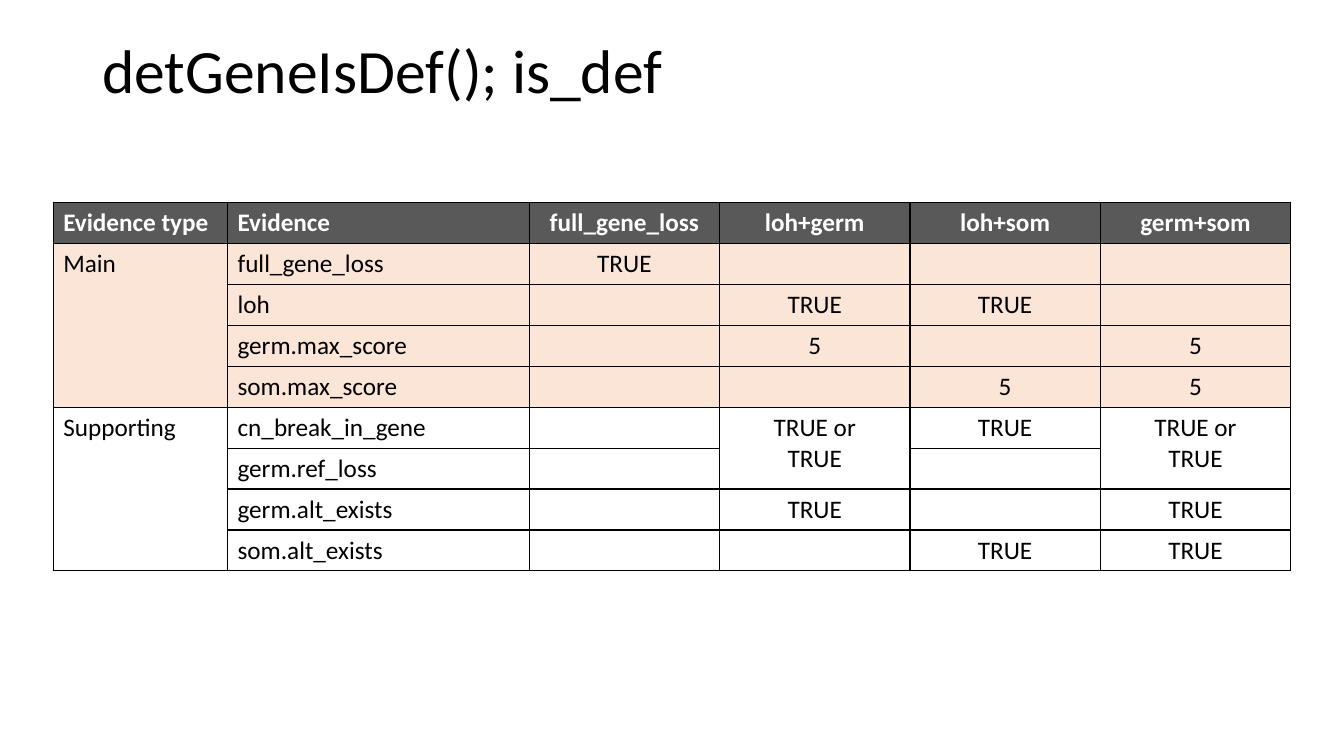
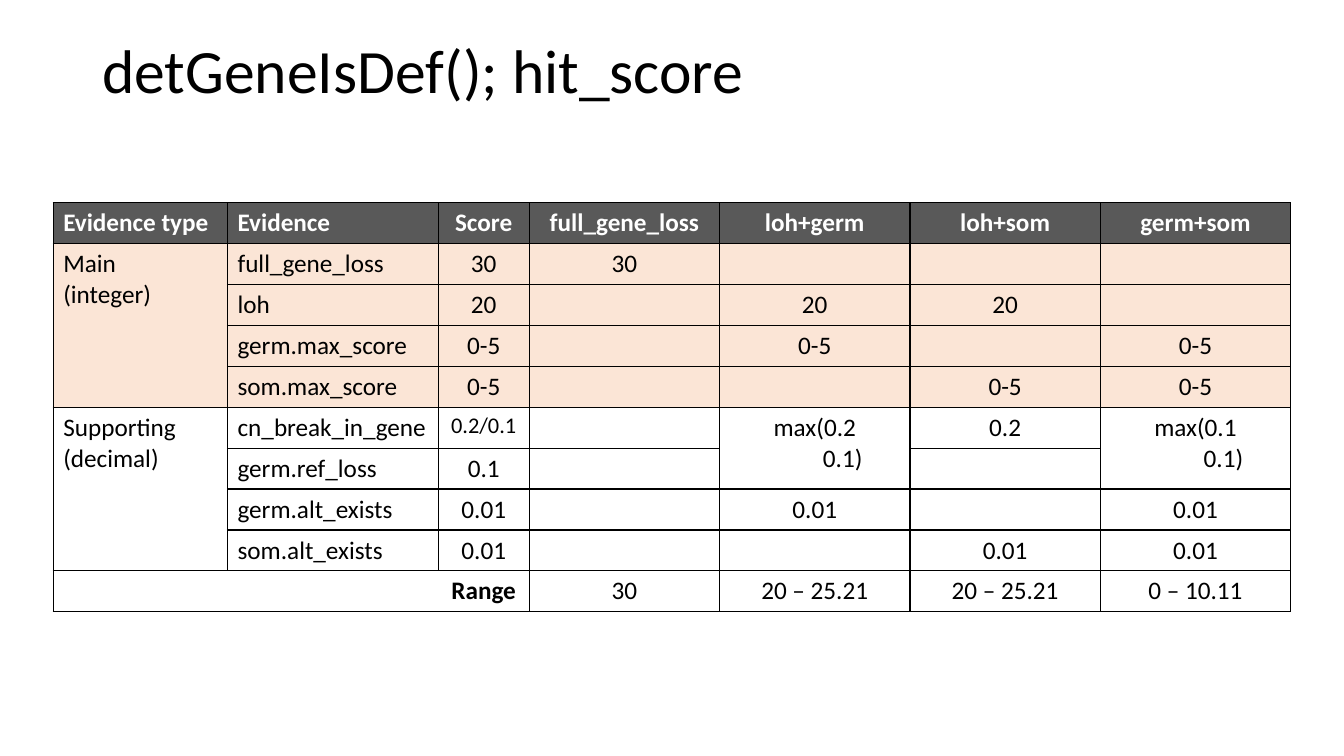
from lxml import etree
from pptx import Presentation
from pptx.dml.color import RGBColor
from pptx.enum.text import MSO_ANCHOR, PP_ALIGN
from pptx.oxml.ns import qn
from pptx.util import Pt

LEFT, MID = PP_ALIGN.LEFT, PP_ALIGN.CENTER
MIDDLE = MSO_ANCHOR.MIDDLE
FONT = "Calibri"
BLACK, WHITE, GREY, PEACH = "000000", "FFFFFF", "595959", "FBE5D6"
ROW, TYPE, CASE = 29.25, 124.5, 136
SIDES = "LRTB"
CASES = ["full_gene_loss", "loh+germ", "loh+som", "germ+som"]
ITEMS = ["full_gene_loss", "loh", "germ.max_score", "som.max_score",
         "cn_break_in_gene", "germ.ref_loss", "germ.alt_exists", "som.alt_exists"]

DEF_VALUES = [
    ["TRUE", "", "", ""],
    ["", "TRUE", "TRUE", ""],
    ["", "5", "", "5"],
    ["", "", "5", "5"],
    ["", "TRUE or\nTRUE", "TRUE", "TRUE or\nTRUE"],
    ["", "", "", ""],
    ["", "TRUE", "", "TRUE"],
    ["", "", "TRUE", "TRUE"],
]
HIT_VALUES = [
    ["30", "30", "", "", ""],
    ["20", "", "20", "20", ""],
    ["0-5", "", "0-5", "", "0-5"],
    ["0-5", "", "", "0-5", "0-5"],
    ["0.2/0.1", "", "max(0.2\n0.1)", "0.2", "max(0.1\n0.1)"],
    ["0.1", "", "", "", ""],
    ["0.01", "", "0.01", "", "0.01"],
    ["0.01", "", "", "0.01", "0.01"],
]
RANGE = ["", "", "Range", "30", "20 – 25.21", "20 – 25.21", "0 – 10.11"]


def color(code):
    return RGBColor.from_string(code)


def style(par, size, ink, bold=False, align=LEFT):
    par.alignment = align
    font = par.font
    font.name, font.size, font.bold = FONT, Pt(size), bold
    font.color.rgb = color(ink)


def add_title(slide, text):
    frame = slide.shapes.add_textbox(Pt(66), Pt(0), Pt(828), Pt(104.4)).text_frame
    frame.word_wrap = True
    frame.vertical_anchor = MIDDLE
    par = frame.paragraphs[0]
    par.text = text
    par.line_spacing = 0.9
    style(par, 44, BLACK)


def set_edges(cell, shown):
    props = cell._tc.get_or_add_tcPr()
    for side in SIDES:
        line = etree.SubElement(props, qn(f"a:ln{side}"), w=str(Pt(1)))
        if side in shown:
            fill = etree.SubElement(line, qn("a:solidFill"))
            etree.SubElement(fill, qn("a:srgbClr"), val=BLACK)
        else:
            etree.SubElement(line, qn("a:noFill"))


def fill_cell(cell, text, back, head, align, shown):
    set_edges(cell, shown)
    cell.fill.solid()
    cell.fill.fore_color.rgb = color(back)
    cell.text = text
    for par in cell.text_frame.paragraphs:
        style(par, 18, WHITE if head else BLACK, head, align)


def add_grid(slide, rows, widths, edges):
    count, size = len(rows), len(widths)
    frame = slide.shapes.add_table(count, size, Pt(38), Pt(144.75),
                                   Pt(sum(widths)), Pt(ROW * count))
    table = frame.table
    table.first_row = table.horz_banding = False
    for col, width in zip(table.columns, widths):
        col.width = Pt(width)
    for r, row in enumerate(rows):
        table.rows[r].height = Pt(ROW)
        back = GREY if r == 0 else PEACH if r < 5 else WHITE
        for c, text in enumerate(row):
            fill_cell(table.cell(r, c), text, back, r == 0,
                      LEFT if c < 2 else MID, edges.get((r, c), SIDES))
    for top, end, c in [(1, 4, 0), (5, 8, 0), (5, 6, size - 3), (5, 6, size - 1)]:
        table.cell(top, c).merge(table.cell(end, c))
    return table


def make_rows(heads, kinds, values):
    rows = [["Evidence type", "Evidence"] + heads]
    for i, (item, vals) in enumerate(zip(ITEMS, values)):
        rows.append([kinds[i // 4] if i % 4 == 0 else "", item] + vals)
    return rows


def add_def(slide):
    add_title(slide, "detGeneIsDef(); is_def")
    rows = make_rows(CASES, ["Main", "Supporting"], DEF_VALUES)
    add_grid(slide, rows, [TYPE, 215.5] + [CASE] * 4, {})


def add_hit(slide):
    add_title(slide, "detGeneIsDef(); hit_score")
    kinds = ["Main\n(integer)", "Supporting\n(decimal)"]
    rows = make_rows(["Score"] + CASES, kinds, HIT_VALUES) + [RANGE]
    edges = {(9, 0): "LTB", (9, 1): "TB", (9, 2): "RTB"}
    table = add_grid(slide, rows, [TYPE, 150.5, 65] + [CASE] * 4, edges)
    table.cell(5, 2).text_frame.paragraphs[0].font.size = Pt(16)
    table.cell(9, 2).text_frame.paragraphs[0].font.bold = True
    for c in (4, 6):
        par = table.cell(5, c).text_frame.paragraphs[1]
        par._p.get_or_add_pPr().set("marL", str(Pt(40)))


def main():
    deck = Presentation()
    deck.slide_width, deck.slide_height = Pt(960), Pt(540)
    for build in (add_def, add_hit):
        build(deck.slides.add_slide(deck.slide_layouts[6]))
    deck.save("out.pptx")


if __name__ == "__main__":
    main()
